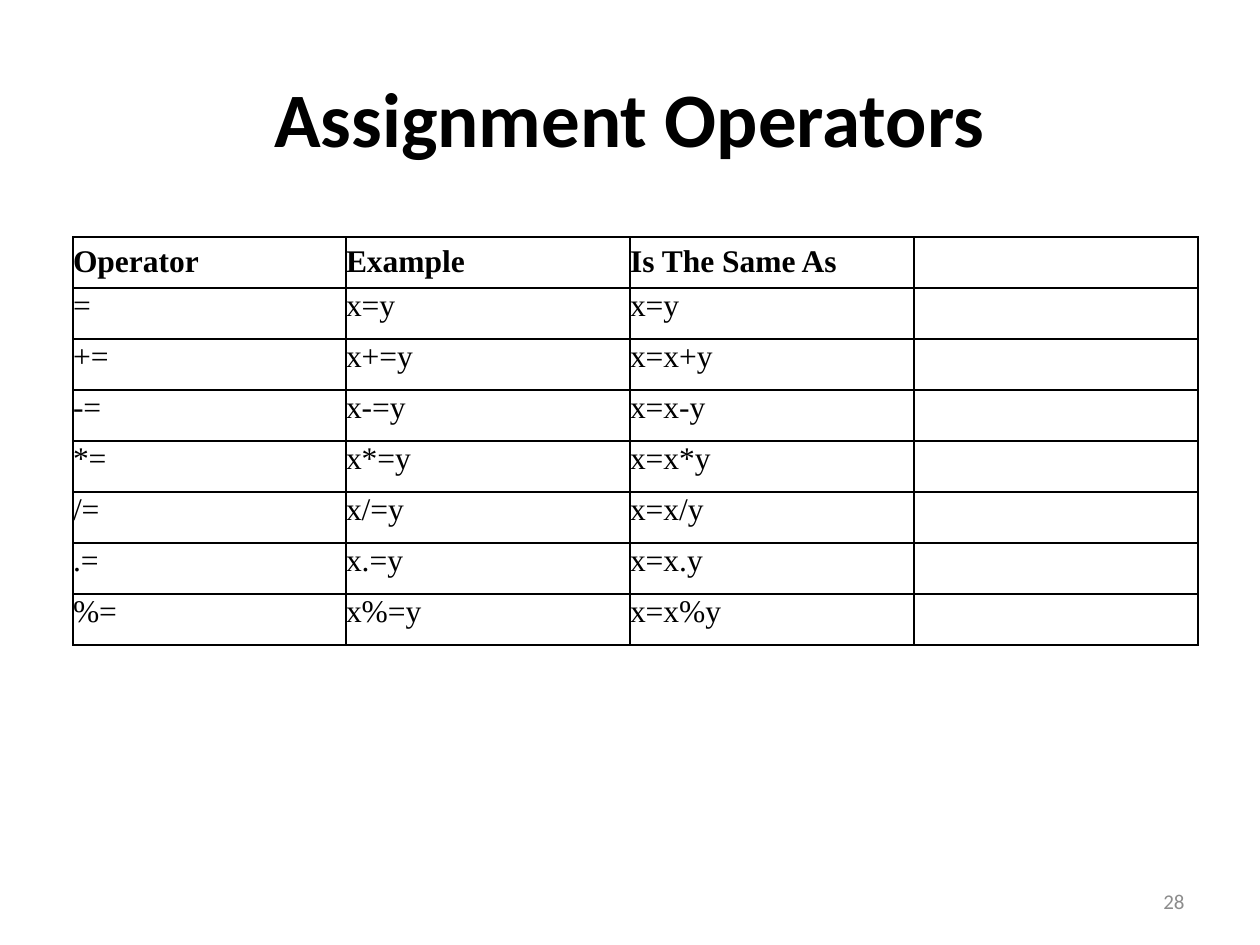
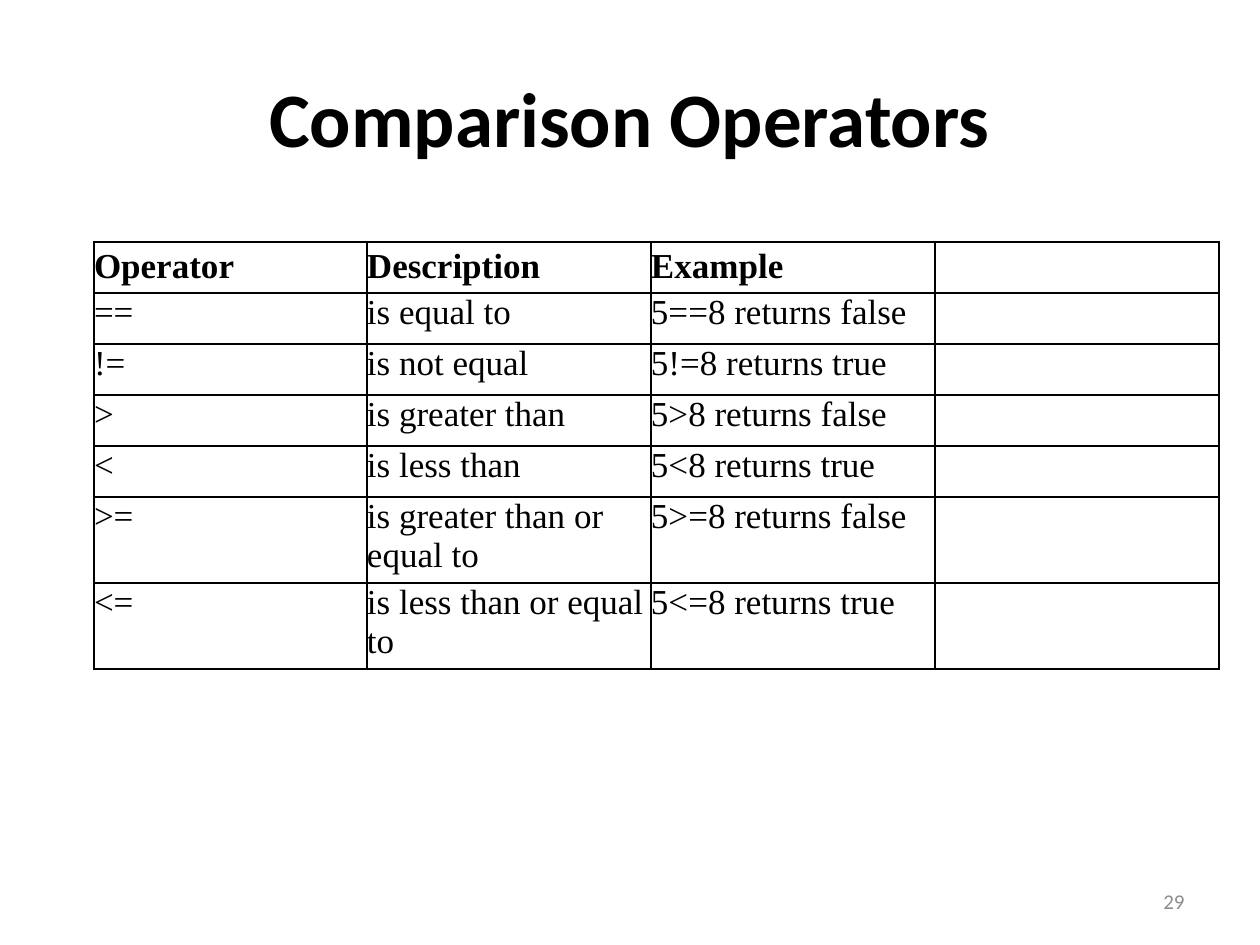
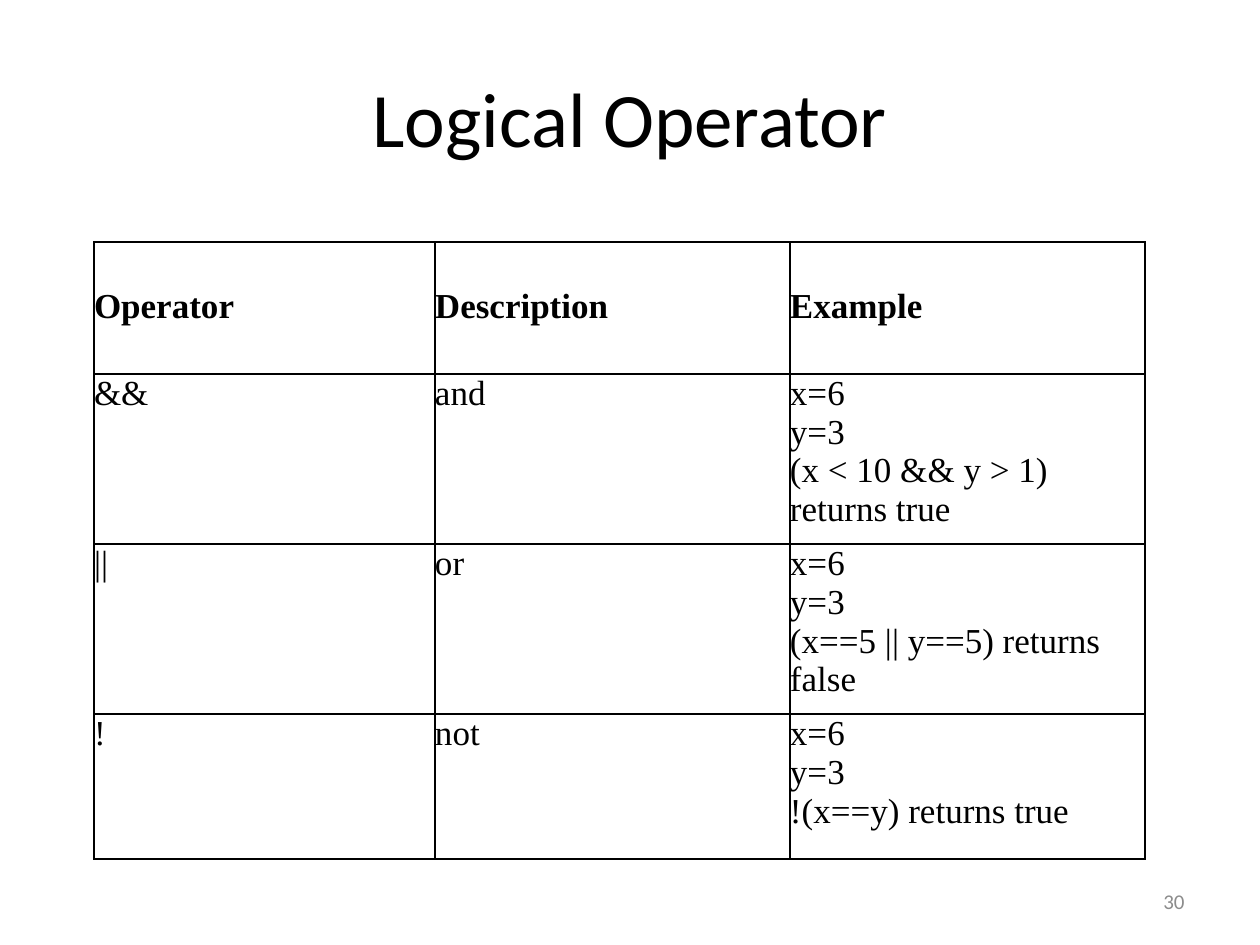
from lxml.etree import SubElement
from pptx import Presentation
from pptx.dml.color import RGBColor
from pptx.enum.text import MSO_ANCHOR as Anchor, PP_ALIGN as Align
from pptx.oxml.ns import qn
from pptx.util import Emu, Pt

BLACK = RGBColor(0x00, 0x00, 0x00)
GRAY = RGBColor(0x8C, 0x8C, 0x8C)
HEADING_FONT = "Calibri"
TABLE_FONT = "Times New Roman"
TITLE_ONLY = 5
FIRST_PAGE = 28


def px(length):
    return Emu(round(length * 914400 / 126))


def add_text(para, text, font, size, color, bold=False):
    for index, line in enumerate(text.split("\v")):
        if index:
            para.add_line_break()
        span = para.add_run()
        span.text = line
        span.font.name = font
        span.font.size = Pt(size)
        span.font.bold = bold
        span.font.color.rgb = color


pages = [
    {
        "title": "Assignment Operators",
        "bold": True,
        "left": 73,
        "top": 237,
        "size": 18,
        "columns": [273, 284, 284, 284],
        "heights": [51] * 8,
        "rows": [
            ["Operator", "Example", "Is The Same As", ""],
            ["=", "x=y", "x=y", ""],
            ["+=", "x+=y", "x=x+y", ""],
            ["-=", "x-=y", "x=x-y", ""],
            ["*=", "x*=y", "x=x*y", ""],
            ["/=", "x/=y", "x=x/y", ""],
            [".=", "x.=y", "x=x.y", ""],
            ["%=", "x%=y", "x=x%y", ""],
        ],
    },
    {
        "title": "Comparison Operators",
        "bold": True,
        "left": 94,
        "top": 242,
        "size": 20,
        "columns": [273, 284, 284, 284],
        "heights": [51] * 5 + [80] * 2,
        "rows": [
            ["Operator", "Description", "Example", ""],
            ["==", "is equal to", "5==8 returns false", ""],
            ["!=", "is not equal", "5!=8 returns true", ""],
            [">", "is greater than", "5>8 returns false", ""],
            ["<", "is less than", "5<8 returns true", ""],
            [">=", "is greater than or equal to", "5>=8 returns false", ""],
            ["<=", "is less than or equal to", "5<=8 returns true", ""],
        ],
    },
    {
        "title": "Logical Operator",
        "bold": False,
        "left": 94,
        "top": 242,
        "size": 20,
        "columns": [341, 355, 355],
        "heights": [132, 158, 158, 145],
        "rows": [
            ["Operator", "Description", "Example"],
            ["&&", "and", "x=6\vy=3\n(x < 10 && y > 1) returns true"],
            ["||", "or", "x=6\vy=3\n(x==5 || y==5) returns false"],
            ["!", "not", "x=6\vy=3\n!(x==y) returns true"],
        ],
    },
]

deck = Presentation()
deck.slide_width = px(1260)
deck.slide_height = px(945)

for number, page in enumerate(pages, FIRST_PAGE):
    slide = deck.slides.add_slide(deck.slide_layouts[TITLE_ONLY])

    title = slide.shapes.title
    title.left, title.top, title.width, title.height = px(63), px(38), px(1134), px(157)
    title.text_frame.vertical_anchor = Anchor.MIDDLE
    para = title.text_frame.paragraphs[0]
    para.alignment = Align.CENTER
    add_text(para, page["title"], HEADING_FONT, 44, BLACK, page["bold"])

    number_box = slide.shapes.add_textbox(px(903), px(876), px(294), px(50))
    number_box.text_frame.word_wrap = True
    number_box.text_frame.vertical_anchor = Anchor.MIDDLE
    para = number_box.text_frame.paragraphs[0]
    para.alignment = Align.RIGHT
    add_text(para, str(number), HEADING_FONT, 12, GRAY)

    columns, heights = page["columns"], page["heights"]
    table = slide.shapes.add_table(
        len(heights), len(columns),
        px(page["left"]), px(page["top"]), px(sum(columns)), px(sum(heights)),
    ).table
    table.first_row = False
    table.horz_banding = False
    for column, width in zip(table.columns, columns):
        column.width = px(width)
    for row, height in zip(table.rows, heights):
        row.height = px(height)

    for row_index, texts in enumerate(page["rows"]):
        header = row_index == 0
        for column_index, text in enumerate(texts):
            cell = table.cell(row_index, column_index)
            cell.margin_left = cell.margin_right = cell.margin_top = 0
            cell.margin_bottom = px(2)
            cell.vertical_anchor = Anchor.MIDDLE if header else Anchor.TOP
            properties = cell._tc.get_or_add_tcPr()
            for side in ("a:lnL", "a:lnR", "a:lnT", "a:lnB"):
                border = SubElement(properties, qn(side), w=str(Pt(1)))
                fill = SubElement(border, qn("a:solidFill"))
                SubElement(fill, qn("a:srgbClr"), val=str(BLACK))
            cell.fill.background()
            if not text:
                continue
            frame = cell.text_frame
            for index, line in enumerate(text.split("\n")):
                para = frame.add_paragraph() if index else frame.paragraphs[0]
                add_text(para, line, TABLE_FONT, page["size"], BLACK, header)

deck.save("out.pptx")
